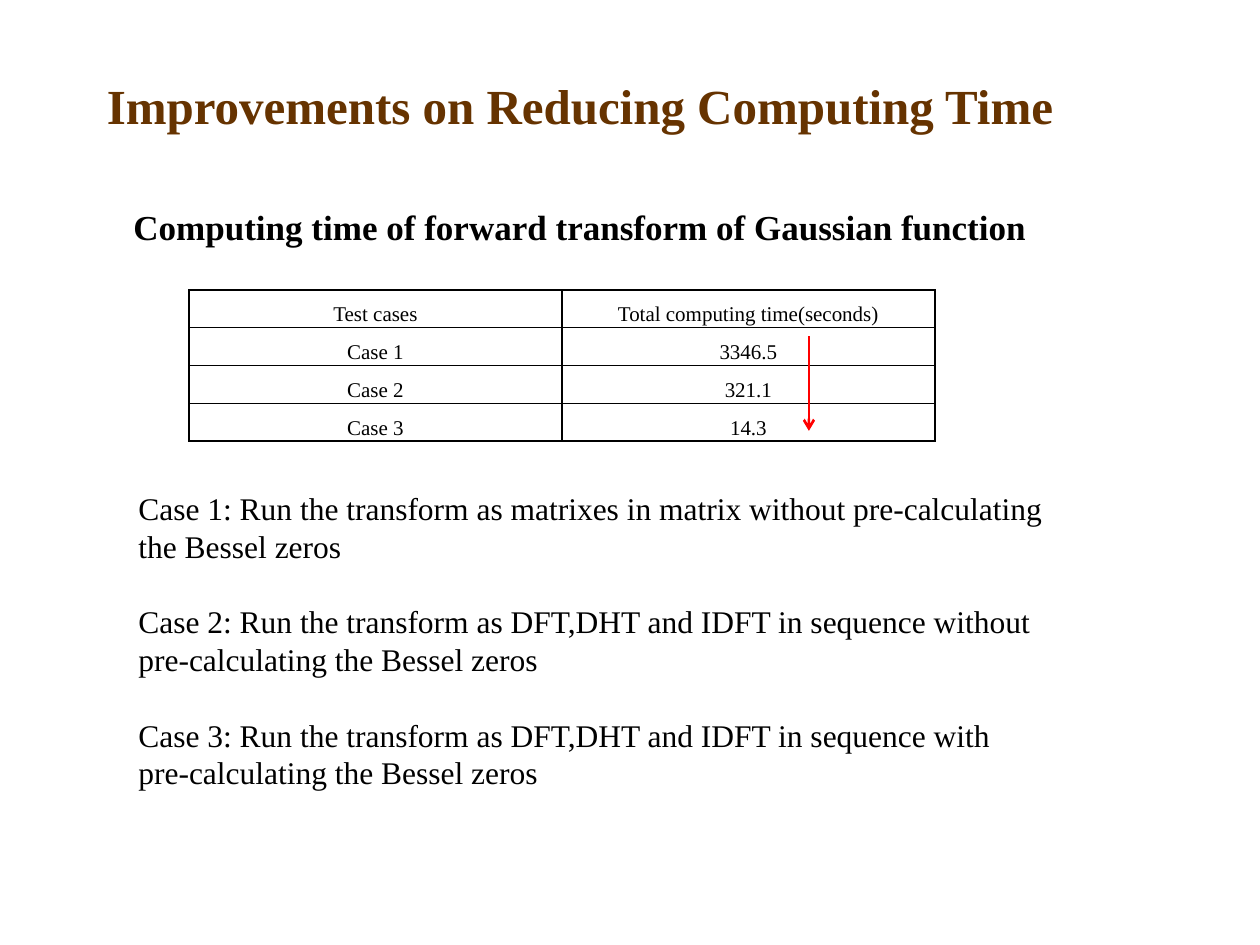
from lxml.etree import SubElement
from pptx import Presentation
from pptx.dml.color import RGBColor
from pptx.enum.shapes import MSO_CONNECTOR
from pptx.enum.text import MSO_ANCHOR, PP_ALIGN
from pptx.oxml.ns import qn
from pptx.util import Inches, Pt


def color(code):
    return RGBColor.from_string(code)


def line(parent, tag, code, width):
    edge = SubElement(parent, qn(tag), w=str(Pt(width)))
    fill = SubElement(edge, qn("a:solidFill"))
    SubElement(fill, qn("a:srgbClr"), val=code)


class Deck:
    """Holds the style and the slide; lengths are in columns and rows of one inch."""

    font = "Times New Roman"
    ink = "000000"
    brown = "663300"
    red = "FF0000"

    def __init__(self, cols, rows):
        self.prs = Presentation()
        self.prs.slide_width, self.prs.slide_height = Inches(cols), Inches(rows)
        self.slide = self.prs.slides.add_slide(self.prs.slide_layouts[6])

    def run(self, para, words, size, code=ink, bold=False):
        run = para.add_run()
        run.text = words
        font = run.font
        font.name, font.size, font.bold = self.font, Pt(size), bold
        font.color.rgb = color(code)

    def text(self, box, paras, size, code=ink, bold=False, wrap=True,
             anchor=MSO_ANCHOR.TOP, gap=0):
        frame = self.slide.shapes.add_textbox(*map(Inches, box)).text_frame
        frame.word_wrap = wrap
        frame.vertical_anchor = anchor
        for i, words in enumerate(paras):
            para = frame.add_paragraph() if i else frame.paragraphs[0]
            para.space_before = Pt(gap if i else 0)
            self.run(para, words, size, code, bold)

    def table(self, box, data, size):
        shape = self.slide.shapes.add_table(len(data), len(data[0]), *map(Inches, box))
        grid = shape.table
        for r, row in enumerate(data):
            for c, words in enumerate(row):
                self.cell(grid.cell(r, c), words, size)

    def cell(self, cell, words, size):
        cell.margin_left = cell.margin_right = Inches(0.07)
        cell.margin_top = cell.margin_bottom = 0
        cell.vertical_anchor = MSO_ANCHOR.MIDDLE
        para = cell.text_frame.paragraphs[0]
        para.alignment = PP_ALIGN.CENTER
        para.line_spacing = 1.5
        para.space_after = Pt(8)
        self.run(para, words, size)
        props = cell._tc.get_or_add_tcPr()
        for side in "LRTB":
            line(props, f"a:ln{side}", self.ink, 1)
        cell.fill.background()

    def arrow(self, start, end, code, width):
        link = self.slide.shapes.add_connector(
            MSO_CONNECTOR.STRAIGHT, *map(Inches, start + end))
        link.line.color.rgb = color(code)
        link.line.width = Pt(width)
        SubElement(link.line._get_or_add_ln(), qn("a:tailEnd"), type="arrow")
        SubElement(link._element.spPr, qn("a:effectLst"))

    def save(self):
        self.prs.save("out.pptx")


def main():
    deck = Deck(10, 7.5)
    deck.text((0.75, 0.42, 8.5, 0.83), ["Improvements on Reducing Computing Time"],
              28, deck.brown, bold=True, anchor=MSO_ANCHOR.MIDDLE)
    deck.table((1.5, 2.3, 5.92, 1.12), [
        ("Test cases", "Total computing time(seconds)"),
        ("Case 1", "3346.5"),
        ("Case 2", "321.1"),
        ("Case 3", "14.3"),
    ], 12)
    deck.text((0.96, 1.58, 7.34, 0.44),
              ["Computing time of forward transform of Gaussian function"],
              20, bold=True, wrap=False)
    deck.text((1, 3.83, 7.42, 2.52), [
        "Case 1: Run the transform as matrixes in matrix without pre-calculating "
        "the Bessel zeros",
        "Case 2: Run the transform as DFT,DHT and IDFT in sequence without "
        "pre-calculating the Bessel zeros",
        "Case 3: Run the transform as DFT,DHT and IDFT in sequence with "
        "pre-calculating the Bessel zeros",
    ], 18, gap=21.6)
    deck.arrow((6.42, 2.67), (6.42, 3.42), deck.red, 1.5)
    deck.save()


if __name__ == "__main__":
    main()
